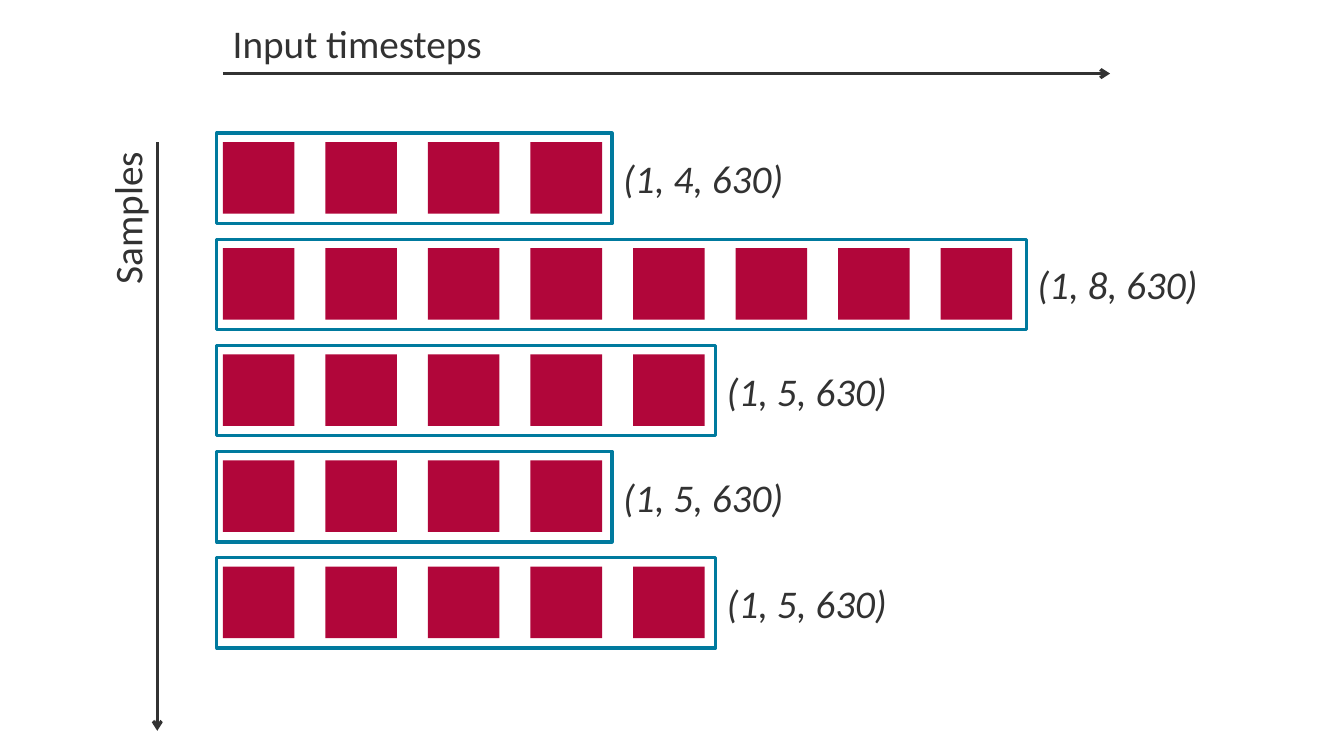
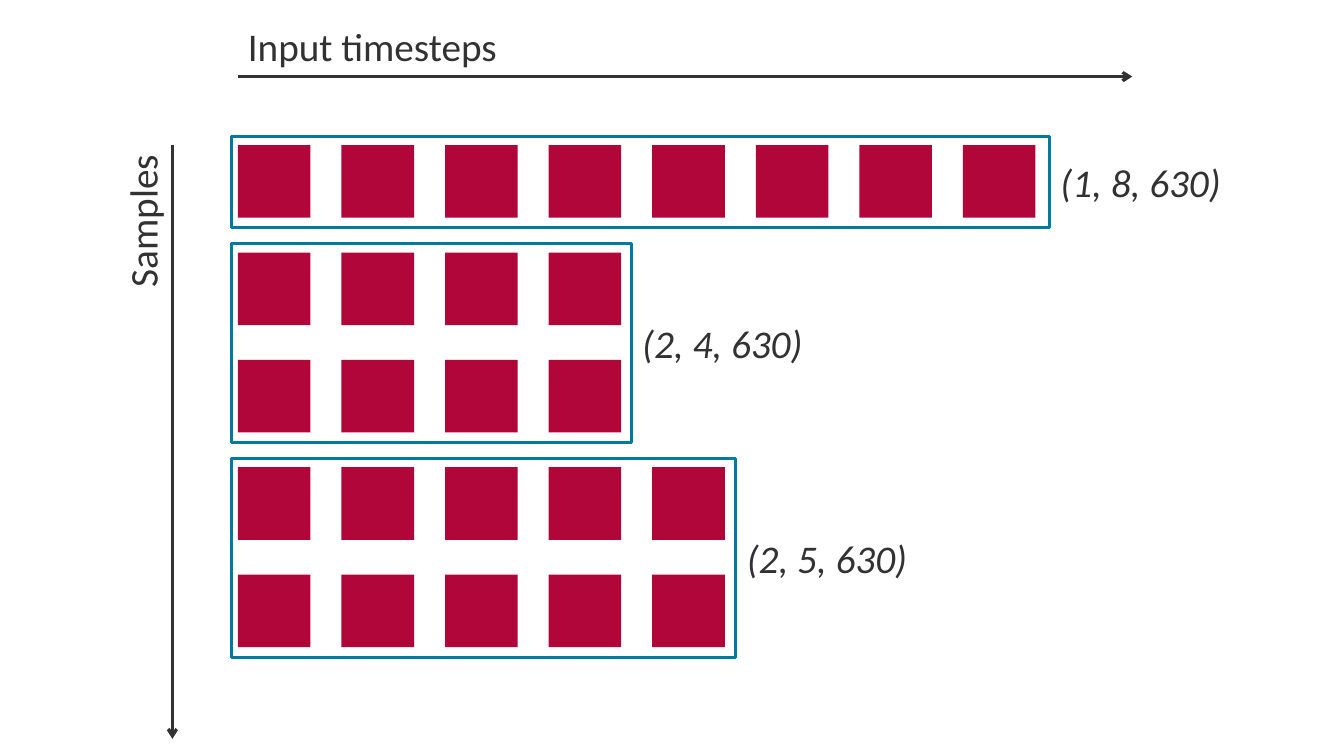
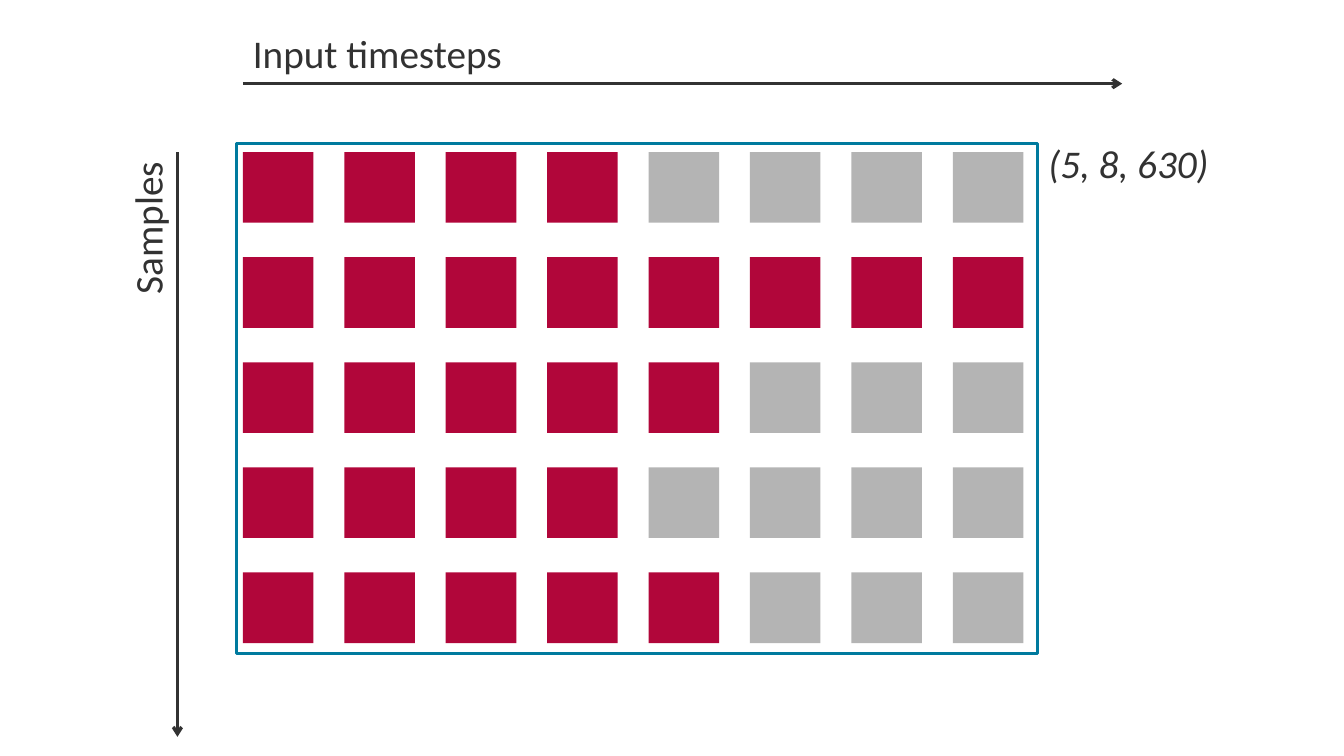
from lxml import etree
from pptx import Presentation
from pptx.dml.color import RGBColor
from pptx.enum.shapes import MSO_CONNECTOR, MSO_SHAPE
from pptx.enum.text import MSO_AUTO_SIZE, PP_ALIGN
from pptx.oxml.ns import qn
from pptx.util import Inches, Pt

RECTANGLE = MSO_SHAPE.RECTANGLE
STRAIGHT = MSO_CONNECTOR.STRAIGHT
FIT_TEXT = MSO_AUTO_SIZE.SHAPE_TO_FIT_TEXT
LEFT = PP_ALIGN.LEFT
RIGHT = PP_ALIGN.RIGHT

CRIMSON = "B1063A"
GREY = "B4B4B4"
TEAL = "007A9E"
INK = "323232"

FONT = "Calibri"
TEXT_SIZE = 28
LINE_WIDTH = 2.25
TEXT_HEIGHT = 0.57
LABEL_WIDTH = 2.2
COLUMNS = 8
ROWS = 5
SAMPLE_LENGTHS = [4, 8, 5, 4, 5]


def color(value):
    return RGBColor.from_string(value)


def write(box, text, size=TEXT_SIZE, ink=INK, italic=False, align=LEFT):
    frame = box.text_frame
    frame.word_wrap = True
    frame.auto_size = FIT_TEXT
    para = frame.paragraphs[0]
    para.alignment = align
    span = para.add_run()
    span.text = text
    span.font.name = FONT
    span.font.size = Pt(size)
    span.font.italic = italic
    span.font.color.rgb = color(ink)


class SampleGrid:
    def __init__(self, deck, left, top, last_left, last_top, size):
        self.page = deck.slides.add_slide(deck.slide_layouts[6])
        self.left, self.top = left, top
        self.last_left, self.last_top = last_left, last_top
        self.size = size
        self.column_step = (last_left - left) / (COLUMNS - 1)
        self.row_step = (last_top - top) / (ROWS - 1)

    def rectangle(self, left, top, width, height, fill=None, line=None):
        box = self.page.shapes.add_shape(
            RECTANGLE, Inches(left), Inches(top), Inches(width), Inches(height))
        box.shadow.inherit = False
        if fill:
            box.fill.solid()
            box.fill.fore_color.rgb = color(fill)
        else:
            box.fill.background()
        if line:
            box.line.color.rgb = color(line)
            box.line.width = Pt(LINE_WIDTH)
        else:
            box.line.fill.background()

    def text(self, text, left, top, width=LABEL_WIDTH, rotation=0, **style):
        box = self.page.shapes.add_textbox(
            Inches(left), Inches(top), Inches(width), Inches(TEXT_HEIGHT))
        box.rotation = rotation
        write(box, text, **style)

    def arrow(self, start_x, start_y, end_x, end_y):
        arrow = self.page.shapes.add_connector(
            STRAIGHT, Inches(start_x), Inches(start_y), Inches(end_x), Inches(end_y))
        arrow.line.color.rgb = color(INK)
        arrow.line.width = Pt(LINE_WIDTH)
        properties = arrow._element.spPr
        etree.SubElement(properties.find(qn("a:ln")), qn("a:tailEnd"), type="arrow")
        etree.SubElement(properties, qn("a:effectLst"))

    def axes(self):
        time_y = self.top - 0.68
        sample_x = self.left - 0.65
        self.arrow(self.left, time_y, self.last_left + 1.68, time_y)
        self.arrow(sample_x, self.top, sample_x, self.last_top + 1.63)
        self.text("Input timesteps", self.left, time_y - 0.59, width=2.75)
        self.text("Samples", sample_x - 0.3 - LABEL_WIDTH / 2,
                  self.top + (LABEL_WIDTH - TEXT_HEIGHT) / 2,
                  rotation=270, align=RIGHT)

    def cells(self, lengths, padding=None):
        for row, length in enumerate(lengths):
            for column in range(COLUMNS if padding else length):
                self.rectangle(
                    self.left + column * self.column_step,
                    self.top + row * self.row_step,
                    self.size, self.size,
                    fill=CRIMSON if column < length else padding)

    def batch(self, first_row, rows, columns, label, label_top=None):
        left = self.left - 0.06
        top = self.top + first_row * self.row_step - 0.09
        right_margin = 0.06 + 0.01 * columns
        right = self.left + (columns - 1) * self.column_step + self.size + right_margin
        height = (rows - 1) * self.row_step + self.size + 0.19
        self.rectangle(left, top, right - left, height, line=TEAL)
        if label_top is None:
            label_top = top + (height - TEXT_HEIGHT) / 2
        self.text(label, right + 0.01, label_top, italic=True)


def main():
    deck = Presentation()
    deck.slide_width = Inches(13.33)
    deck.slide_height = Inches(7.5)

    single = SampleGrid(deck, 2.21, 1.41, 9.33, 5.62, 0.71)
    single.cells(SAMPLE_LENGTHS)
    single.axes()
    single_labels = ["(1, 4, 630)", "(1, 8, 630)", "(1, 5, 630)",
                     "(1, 5, 630)", "(1, 5, 630)"]
    for row, (length, label) in enumerate(zip(SAMPLE_LENGTHS, single_labels)):
        single.batch(row, 1, length, label)

    bucketed = SampleGrid(deck, 2.36, 1.44, 9.55, 5.7, 0.72)
    bucketed.cells([8, 4, 4, 5, 5])
    bucketed.axes()
    for first_row, rows, columns in [(0, 1, 8), (1, 2, 4), (3, 2, 5)]:
        bucketed.batch(first_row, rows, columns, f"({rows}, {columns}, 630)")

    padded = SampleGrid(deck, 2.41, 1.51, 9.45, 5.68, 0.7)
    padded.cells(SAMPLE_LENGTHS, padding=GREY)
    padded.axes()
    padded.batch(0, ROWS, COLUMNS, "(5, 8, 630)", label_top=1.33)

    deck.save("out.pptx")


if __name__ == "__main__":
    main()
